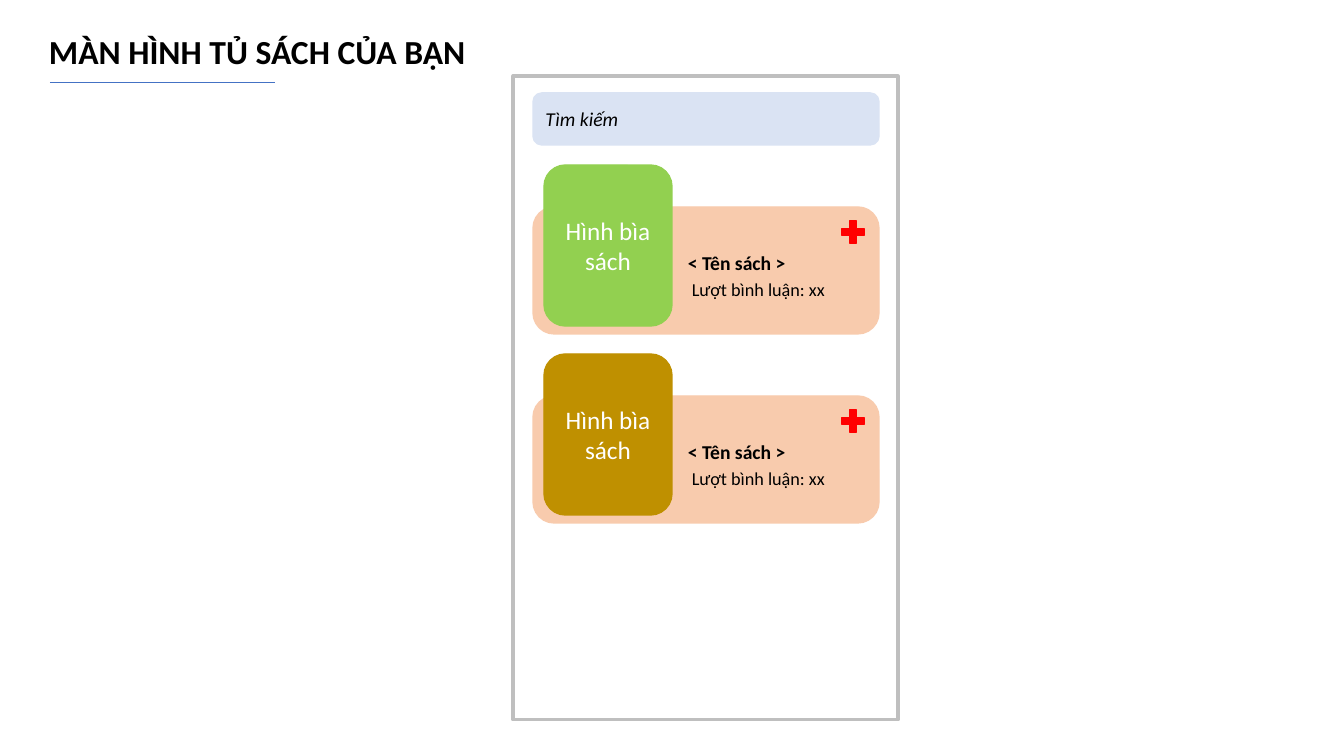
from dataclasses import dataclass

from lxml import etree
from pptx import Presentation
from pptx.dml.color import RGBColor
from pptx.enum.shapes import MSO_CONNECTOR as Connector, MSO_SHAPE as Shape
from pptx.enum.text import MSO_ANCHOR as Anchor, MSO_AUTO_SIZE as AutoSize, PP_ALIGN as Align
from pptx.oxml.ns import qn
from pptx.util import Emu, Pt

TITLE = "MÀN HÌNH TỦ SÁCH CỦA BẠN"
SEARCH = "Tìm kiếm"
BOOKS = [
    {"cover": "Hình bìa sách", "name": "< Tên sách >", "comments": "Lượt bình luận: xx", "color": "92D050"},
    {"cover": "Hình bìa sách", "name": "< Tên sách >", "comments": "Lượt bình luận: xx", "color": "BF9000"},
]


@dataclass(frozen=True)
class Theme:
    font: str = "Calibri"
    black: str = "000000"
    white: str = "FFFFFF"
    rule: str = "4472C4"
    frame: str = "BFBFBF"
    search: str = "DAE3F3"
    card: str = "F8CBAD"
    plus: str = "FF0000"
    title_size: int = 24
    cover_size: int = 18
    name_size: int = 14
    comments_size: int = 13


THEME = Theme()
PX = 914400 / 100.8

# Boxes in px: left, top, width, height
TITLE_BOX = (39, 26, 440, 50)
RULE = (50, 82, 275, 82)
FRAME = (513, 76, 385, 644)
SEARCH_BOX = (533, 93, 346, 52)
CARD = (533, 207, 346, 127)
COVER = (544, 165, 128, 161)
NAME = (678, 246, 147, 34)
PLUS = (838, 217, 30, 30)
COMMENTS = (682, 273, 187, 32)
BOOK_PITCH = 189


def emu(box):
    return [Emu(round(value * PX)) for value in box]


def rgb(color):
    return RGBColor.from_string(color)


def write(shape, text, *, size, color=THEME.black, bold=False, italic=False,
          align=Align.LEFT, anchor=Anchor.TOP, wrap=True):
    frame = shape.text_frame
    frame.word_wrap = wrap
    frame.vertical_anchor = anchor
    paragraph = frame.paragraphs[0]
    paragraph.alignment = align
    run = paragraph.add_run()
    run.text = text
    font = run.font
    font.name, font.size = THEME.font, Pt(size)
    font.bold, font.italic = bold, italic
    font.color.rgb = rgb(color)


def add_label(slide, box, text, **style):
    label = slide.shapes.add_textbox(*emu(box))
    write(label, text, **style)
    label.text_frame.auto_size = AutoSize.SHAPE_TO_FIT_TEXT


def add_block(slide, kind, box, fill, line=None, weight=1):
    shape = slide.shapes.add_shape(kind, *emu(box))
    shape.shadow.inherit = False
    shape.fill.solid()
    shape.fill.fore_color.rgb = rgb(fill)
    shape.line.color.rgb = rgb(line or fill)
    shape.line.width = Pt(weight)
    return shape


def add_rule(slide):
    rule = slide.shapes.add_connector(Connector.STRAIGHT, *emu(RULE))
    rule.line.color.rgb = rgb(THEME.rule)
    rule.line.width = Pt(0.5)
    etree.SubElement(rule._element.spPr, qn("a:effectLst"))


def add_book(slide, book, offset):
    def place(box):
        left, top, width, height = box
        return left, top + offset, width, height

    add_block(slide, Shape.ROUNDED_RECTANGLE, place(CARD), THEME.card)
    cover = add_block(slide, Shape.ROUNDED_RECTANGLE, place(COVER), book["color"])
    write(cover, book["cover"], size=THEME.cover_size, color=THEME.white,
          align=Align.CENTER, anchor=Anchor.MIDDLE)
    add_label(slide, place(NAME), book["name"], size=THEME.name_size, bold=True)
    add_block(slide, Shape.MATH_PLUS, place(PLUS), THEME.plus)
    add_label(slide, place(COMMENTS), book["comments"], size=THEME.comments_size)


def main():
    presentation = Presentation()
    presentation.slide_width, presentation.slide_height = emu((1344, 756))
    slide = presentation.slides.add_slide(presentation.slide_layouts[6])

    add_label(slide, TITLE_BOX, TITLE, size=THEME.title_size, bold=True, wrap=False)
    add_rule(slide)
    add_block(slide, Shape.RECTANGLE, FRAME, THEME.white, THEME.frame, 2.25)
    search = add_block(slide, Shape.ROUNDED_RECTANGLE, SEARCH_BOX, THEME.search)
    write(search, SEARCH, size=THEME.name_size, italic=True, anchor=Anchor.MIDDLE)
    for index, book in enumerate(BOOKS):
        add_book(slide, book, index * BOOK_PITCH)

    presentation.save("out.pptx")


if __name__ == "__main__":
    main()
